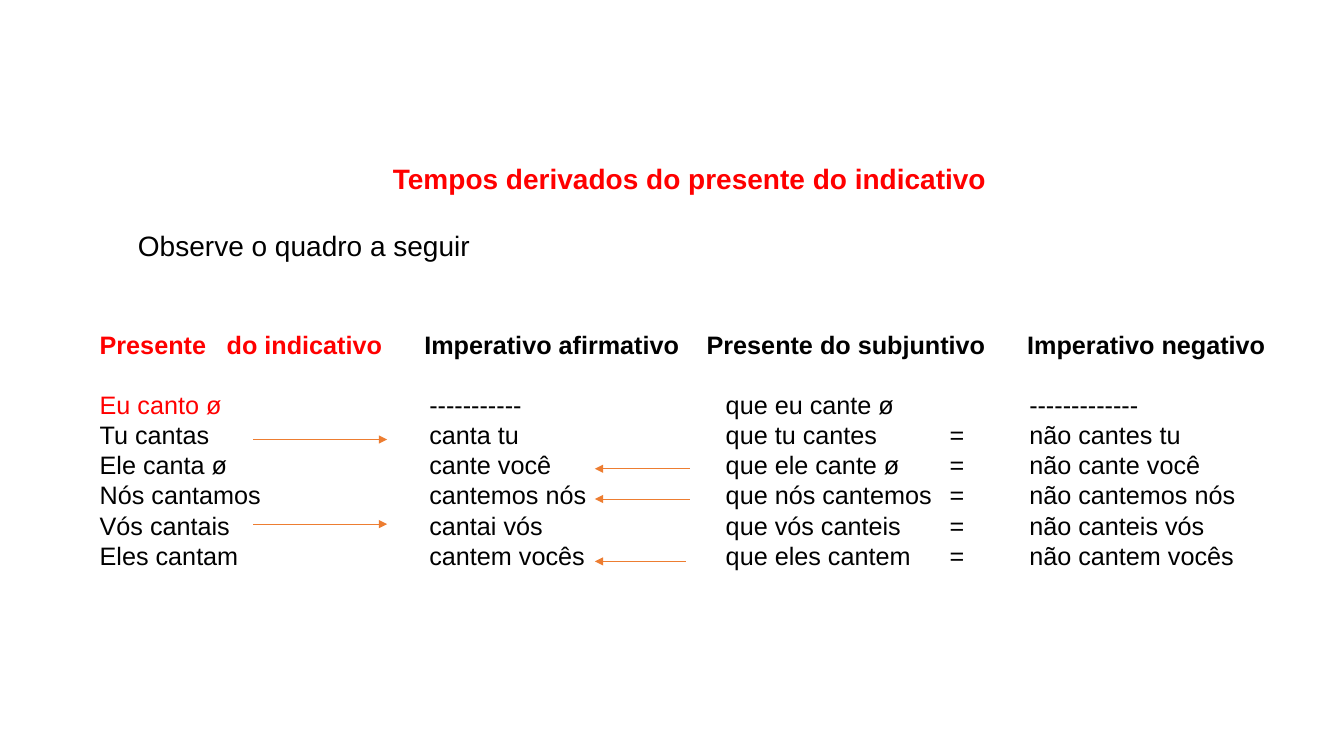
from dataclasses import dataclass

import pptx
import pptx.dml.color
import pptx.enum.shapes
import pptx.enum.text
import pptx.oxml
import pptx.oxml.ns
import pptx.presentation
import pptx.slide
import pptx.text.text
import pptx.util
from pptx.util import Inches

Color = pptx.dml.color.RGBColor
Align = pptx.enum.text.PP_ALIGN


@dataclass(frozen=True)
class Theme:
    font: str = "Arial"
    red: Color = Color(255, 0, 0)
    black: Color = Color(0, 0, 0)
    orange: Color = Color(0xED, 0x7D, 0x31)
    large: int = 20
    small: int = 18
    stroke: float = 0.5


@dataclass(frozen=True)
class Line:
    cells: tuple[str, ...]
    size: int
    lead: Color
    bold: bool = False
    gap: int = 0
    stops: tuple[float, ...] = ()
    indent: float = 0
    align: Align = Align.LEFT


@dataclass(frozen=True)
class Arrow:
    start: float
    end: float
    y: float


THEME = Theme()
HEAD_STOPS = (1.26, 3.22, 6.02, 9.2)
VERB_STOPS = (3.27, 6.21, 8.43, 9.22)

TITLE = Line(("Tempos derivados do presente do indicativo",), THEME.large,
             THEME.red, bold=True, align=Align.CENTER)
INTRO = Line(("Observe o quadro a seguir",), THEME.large, THEME.black,
             gap=24, indent=0.38)
HEADER = Line(("Presente\tdo indicativo", "Imperativo afirmativo",
               "Presente do subjuntivo", "Imperativo negativo"),
              THEME.small, THEME.red, bold=True, gap=48, stops=HEAD_STOPS)
FIRST = Line(("Eu canto ø", "-----------", "que eu cante ø", "", "-------------"),
             THEME.small, THEME.red, gap=21, stops=VERB_STOPS)
VERBS = (
    ("Tu cantas", "canta tu", "que tu cantes", "=", "não cantes tu"),
    ("Ele canta ø", "cante você", "que ele cante ø", "=", "não cante você"),
    ("Nós cantamos", "cantemos nós", "que nós cantemos", "=", "não cantemos nós"),
    ("Vós cantais", "cantai vós", "que vós canteis", "=", "não canteis vós"),
    ("Eles cantam", "cantem vocês", "que eles cantem", "=", "não cantem vocês"),
)
LINES = (TITLE, INTRO, HEADER, FIRST) + tuple(
    Line(cells, THEME.small, THEME.black, stops=VERB_STOPS) for cells in VERBS)

ARROWS = (
    Arrow(2.51, 3.84, 4.36),
    Arrow(2.51, 3.84, 5.2),
    Arrow(6.84, 5.9, 4.65),
    Arrow(6.84, 5.9, 4.95),
    Arrow(6.8, 5.9, 5.57),
)


def add_child(parent, tag: str, **attrs: str):
    child = pptx.oxml.ns.qn(tag)
    node = parent.makeelement(child, attrs)
    parent.append(node)
    return node


def write_line(para: pptx.text.text._Paragraph, line: Line) -> None:
    para.alignment = line.align
    para.space_before = pptx.util.Pt(line.gap)
    props = para._p.get_or_add_pPr()
    if line.indent:
        props.set("marL", str(Inches(line.indent)))
        props.set("indent", "0")
    if line.stops:
        tabs = add_child(props, "a:tabLst")
        for stop in line.stops:
            add_child(tabs, "a:tab", pos=str(Inches(stop)), algn="l")

    para.font.name = THEME.font
    para.font.size = pptx.util.Pt(line.size)
    para.font.bold = line.bold
    lead, *rest = line.cells
    parts = [(lead, line.lead)]
    if rest:
        parts.append(("\t" + "\t".join(rest), THEME.black))
    for text, color in parts:
        run = para.add_run()
        run.text = text
        run.font.color.rgb = color


def draw_text(slide: pptx.slide.Slide) -> None:
    box = slide.shapes.add_textbox(
        Inches(0.89), Inches(1.22), Inches(11.9), Inches(4.95))
    frame = box.text_frame
    frame.word_wrap = True
    frame.margin_top = Inches(0.38)
    for index, line in enumerate(LINES):
        para = frame.add_paragraph() if index else frame.paragraphs[0]
        write_line(para, line)


def draw_arrow(slide: pptx.slide.Slide, arrow: Arrow) -> None:
    link = slide.shapes.add_connector(
        pptx.enum.shapes.MSO_CONNECTOR.STRAIGHT,
        Inches(arrow.start), Inches(arrow.y), Inches(arrow.end), Inches(arrow.y))
    link.line.color.rgb = THEME.orange
    link.line.width = pptx.util.Pt(THEME.stroke)
    add_child(link.line._get_or_add_ln(), "a:tailEnd", type="triangle")
    add_child(link._element.spPr, "a:effectLst")


def main() -> None:
    deck = pptx.Presentation()
    deck.slide_width = Inches(13.33)
    deck.slide_height = Inches(7.5)
    slide = deck.slides.add_slide(deck.slide_layouts[6])
    draw_text(slide)
    for arrow in ARROWS:
        draw_arrow(slide, arrow)
    deck.save("out.pptx")


if __name__ == "__main__":
    main()
